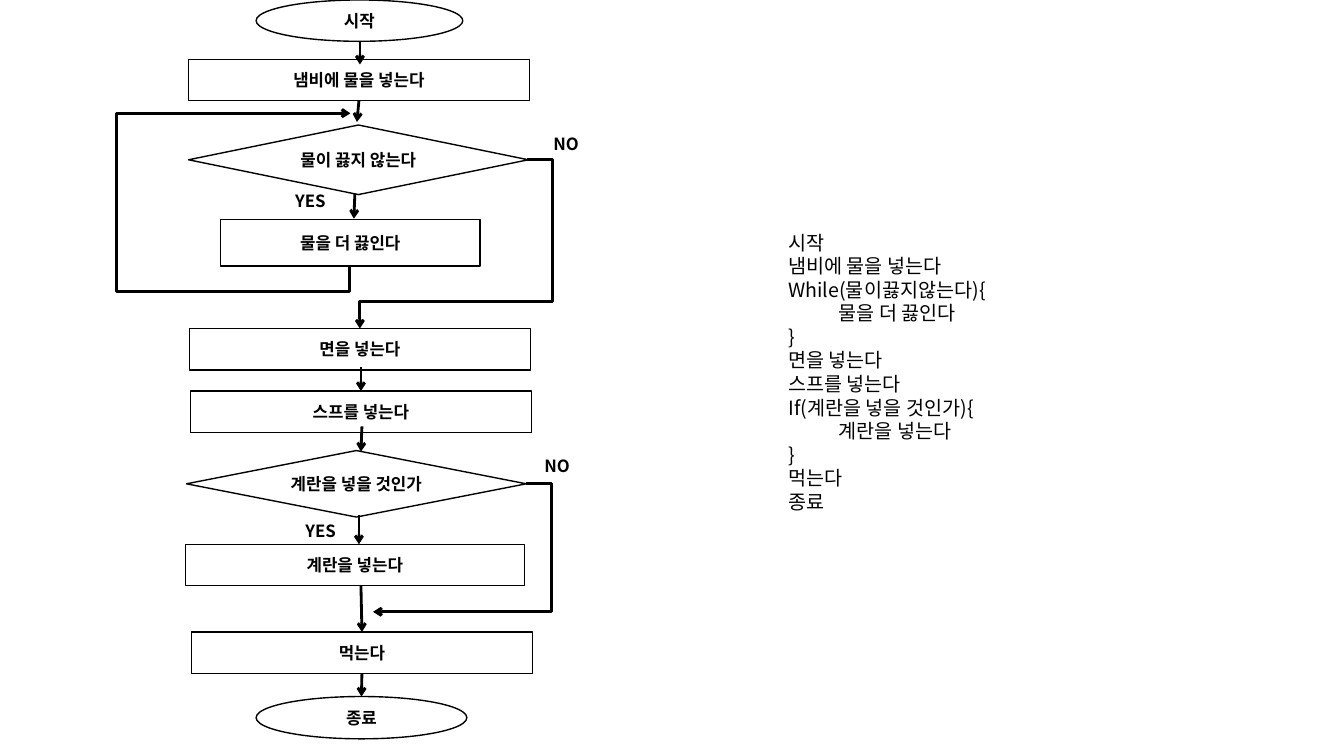
from dataclasses import dataclass
from typing import Optional

from lxml.etree import SubElement
from pptx import Presentation
from pptx.dml.color import RGBColor
from pptx.enum.shapes import MSO_CONNECTOR, MSO_SHAPE
from pptx.enum.text import MSO_ANCHOR, MSO_AUTO_SIZE, PP_ALIGN
from pptx.oxml.ns import qn
from pptx.util import Emu, Pt

PX = 9144
COLORS = {"ink": "000000", "paper": "FFFFFF"}
KOREAN = "Noto Sans CJK KR"
MONO = "Courier New"
LINE_HEIGHT = 1.2
TOP, BOTTOM = 0, 2


@dataclass(frozen=True)
class Step:
    text: str
    kind: MSO_SHAPE
    left: int
    top: int
    width: int
    height: int
    font: str = KOREAN
    fill: Optional[str] = None


@dataclass(frozen=True)
class Note:
    lines: tuple[str, ...]
    left: int
    top: int
    width: int
    height: int
    size: int = 12
    bold: bool = True


@dataclass(frozen=True)
class Arrow:
    begin: tuple[int, int]
    end: tuple[int, int]
    source: Optional[str] = None
    target: Optional[str] = None


@dataclass(frozen=True)
class Bend:
    begin: tuple[int, int]
    end: tuple[int, int]
    geometry: str
    adjustments: tuple[int, ...]
    rotation: int = 0


PROCESS = MSO_SHAPE.FLOWCHART_PROCESS
DECISION = MSO_SHAPE.FLOWCHART_DECISION
STEPS = {
    "start": Step("시작", MSO_SHAPE.OVAL, 254, 0, 205, 41),
    "pour": Step("냄비에 물을 넣는다", PROCESS, 187, 59, 338, 41),
    "not_boiling": Step("물이 끓지 않는다", DECISION, 187, 124, 337, 69),
    "heat": Step("물을 더 끓인다", PROCESS, 219, 218, 257, 46, fill="paper"),
    "noodles": Step("면을 넣는다", PROCESS, 188, 326, 338, 41),
    "soup": Step("스프를 넣는다", PROCESS, 189, 388, 338, 41),
    "want_egg": Step("계란을 넣을 것인가", DECISION, 185, 447, 337, 66, font=MONO),
    "egg": Step("계란을 넣는다", PROCESS, 184, 540, 336, 41),
    "eat": Step("먹는다", PROCESS, 190, 627, 338, 41),
    "finish": Step("종료", MSO_SHAPE.OVAL, 254, 691, 209, 42),
}
ARROWS = (
    Arrow((357, 41), (357, 64)),
    Arrow((354, 100), (354, 121), source="pour"),
    Arrow((352, 192), (351, 217)),
    Arrow((358, 364), (357, 389), target="soup"),
    Arrow((359, 423), (358, 448)),
    Arrow((356, 511), (356, 540)),
    Arrow((358, 581), (359, 626), target="eat"),
    Arrow((358, 668), (359, 691), source="eat", target="finish"),
)
BENDS = (
    Bend((423, 189), (271, 188), "bentConnector5", (-16500, -23500000, 100200), 90),
    Bend((523, 158), (357, 326), "bentConnector4", (-15000, 83800)),
    Bend((522, 480), (370, 607), "bentConnector3", (-16400,)),
)
NOTES = (
    Note(("NO",), 539, 128, 81, 33),
    Note(("YES",), 283, 184, 80, 33),
    Note(("YES",), 293, 512, 62, 30),
    Note(("NO",), 530, 447, 62, 30),
    Note(
        (
            "시작",
            "냄비에 물을 넣는다",
            "While(물이끓지않는다){",
            "\t물을 더 끓인다",
            "}",
            "면을 넣는다",
            "스프를 넣는다",
            "If(계란을 넣을 것인가){",
            "\t계란을 넣는다",
            "}",
            "먹는다",
            "종료",
        ),
        772, 224, 307, 293, size=14, bold=False,
    ),
)


def px(*lengths: int) -> list[Emu]:
    return [Emu(length * PX) for length in lengths]


def color(name: str) -> RGBColor:
    return RGBColor.from_string(COLORS[name])


def write_line(paragraph, text: str, size: int, bold: bool, font: str = KOREAN) -> None:
    paragraph.line_spacing = Pt(size * LINE_HEIGHT)
    run = paragraph.add_run()
    run.text = text
    run.font.size = Pt(size)
    run.font.bold = bold
    run.font.name = font
    run.font.color.rgb = color("ink")
    SubElement(run.font._element, qn("a:ea"), typeface=KOREAN)


def draw_step(slide, step: Step):
    box = slide.shapes.add_shape(step.kind, *px(step.left, step.top, step.width, step.height))
    box.shadow.inherit = False
    if step.fill:
        box.fill.solid()
        box.fill.fore_color.rgb = color(step.fill)
    else:
        box.fill.background()
    box.line.color.rgb = color("ink")
    box.line.width = Pt(1)
    frame = box.text_frame
    frame.word_wrap = True
    frame.vertical_anchor = MSO_ANCHOR.MIDDLE
    paragraph = frame.paragraphs[0]
    paragraph.alignment = PP_ALIGN.CENTER
    write_line(paragraph, step.text, 12, True, step.font)
    return box


def draw_note(slide, note: Note) -> None:
    frame = slide.shapes.add_textbox(*px(note.left, note.top, note.width, note.height)).text_frame
    frame.word_wrap = True
    frame.auto_size = MSO_AUTO_SIZE.SHAPE_TO_FIT_TEXT
    for index, line in enumerate(note.lines):
        paragraph = frame.add_paragraph() if index else frame.paragraphs[0]
        write_line(paragraph, line, note.size, note.bold)


def add_flow(slide, kind: MSO_CONNECTOR, begin: tuple[int, int], end: tuple[int, int]):
    flow = slide.shapes.add_connector(kind, *px(*begin, *end))
    flow.line.color.rgb = color("ink")
    flow.line.width = Pt(2)
    SubElement(flow.line._get_or_add_ln(), qn("a:tailEnd"), type="arrow")
    SubElement(flow._element.spPr, qn("a:effectLst"))
    return flow


def draw_arrow(slide, arrow: Arrow, boxes: dict) -> None:
    flow = add_flow(slide, MSO_CONNECTOR.STRAIGHT, arrow.begin, arrow.end)
    if arrow.source:
        flow.begin_connect(boxes[arrow.source], BOTTOM)
    if arrow.target:
        flow.end_connect(boxes[arrow.target], TOP)


def draw_bend(slide, bend: Bend) -> None:
    flow = add_flow(slide, MSO_CONNECTOR.ELBOW, bend.begin, bend.end)
    properties = flow._element.spPr
    if bend.rotation:
        properties.find(qn("a:xfrm")).set("rot", str(bend.rotation * 60000))
    geometry = properties.find(qn("a:prstGeom"))
    geometry.set("prst", bend.geometry)
    guides = geometry.find(qn("a:avLst"))
    for number, value in enumerate(bend.adjustments, 1):
        SubElement(guides, qn("a:gd"), name=f"adj{number}", fmla=f"val {value}")


def main() -> None:
    deck = Presentation()
    deck.slide_width, deck.slide_height = px(1333, 750)
    slide = deck.slides.add_slide(deck.slide_layouts[6])
    boxes = {key: draw_step(slide, step) for key, step in STEPS.items()}
    for arrow in ARROWS:
        draw_arrow(slide, arrow, boxes)
    for bend in BENDS:
        draw_bend(slide, bend)
    for note in NOTES:
        draw_note(slide, note)
    deck.save("out.pptx")


if __name__ == "__main__":
    main()
